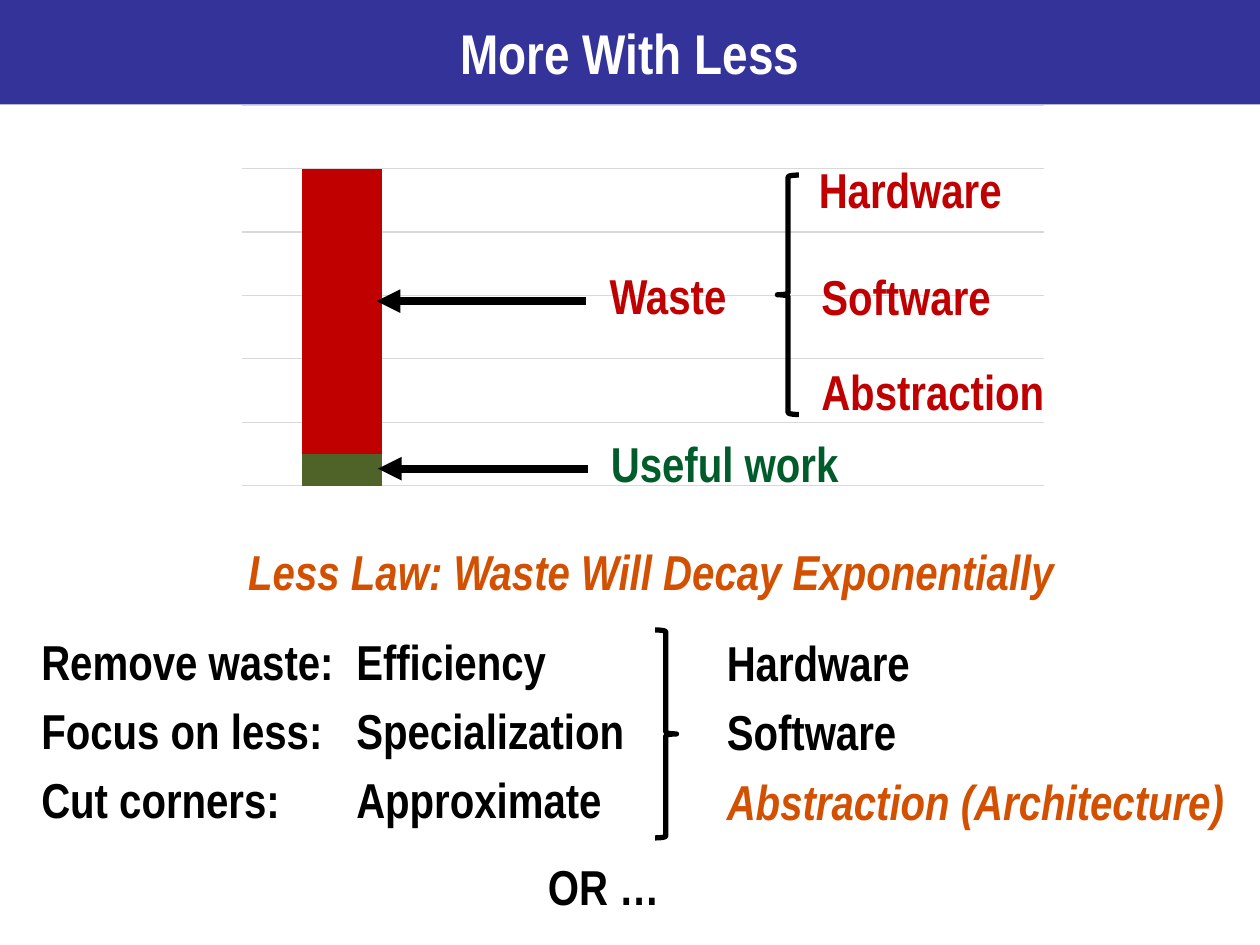
from dataclasses import dataclass

from lxml import etree
from pptx import Presentation
from pptx.chart.data import CategoryChartData
from pptx.dml.color import RGBColor
from pptx.enum.chart import XL_CHART_TYPE as ChartType
from pptx.enum.shapes import MSO_CONNECTOR as Connector, MSO_SHAPE as Shape
from pptx.enum.text import MSO_ANCHOR as Anchor, PP_ALIGN as Align
from pptx.oxml import parse_xml
from pptx.oxml.ns import nsdecls, qn
from pptx.util import Inches, Pt

FONT = "Arial Narrow"
BLACK, WHITE, NAVY = "000000", "FFFFFF", "333399"
RED, GREEN, OLIVE, ORANGE = "C00000", "005C2A", "4F6228", "D25000"
TEXT_HEIGHT = 0.57


@dataclass
class Line:
    text: str
    color: str = BLACK
    italic: bool = False
    size: int = 28


@dataclass
class Label:
    left: float
    top: float
    width: float
    lines: list[Line]
    height: float = TEXT_HEIGHT
    align: Align = Align.LEFT
    wrap: bool = False
    space_before: int = 0
    tab: float = 0


@dataclass
class Arrow:
    start: float
    end: float
    y: float


@dataclass
class Brace:
    left: float
    top: float
    height: float
    flipped: bool = False


def rgb(color: str) -> RGBColor:
    return RGBColor.from_string(color)


def add_line(paragraph, line: Line) -> None:
    run = paragraph.add_run()
    run.text = line.text
    font = run.font
    font.name, font.size = FONT, Pt(line.size)
    font.bold, font.italic = True, line.italic
    font.color.rgb = rgb(line.color)


def set_tab(paragraph, position: float) -> None:
    """Add a left tab stop, measured in inches from the text edge."""
    tabs = etree.SubElement(paragraph._p.get_or_add_pPr(), qn("a:tabLst"))
    etree.SubElement(tabs, qn("a:tab"), pos=str(Inches(position)), algn="l")


def draw_label(slide, label: Label) -> None:
    box = slide.shapes.add_textbox(Inches(label.left), Inches(label.top),
                                   Inches(label.width), Inches(label.height))
    frame = box.text_frame
    frame.word_wrap = label.wrap
    for index, line in enumerate(label.lines):
        paragraph = frame.add_paragraph() if index else frame.paragraphs[0]
        paragraph.alignment = label.align
        paragraph.space_before = Pt(label.space_before)
        if label.tab:
            set_tab(paragraph, label.tab)
        add_line(paragraph, line)


def draw_title(slide, title: str) -> None:
    banner = slide.shapes.add_shape(Shape.RECTANGLE, 0, 0, Inches(10), Inches(0.83))
    banner.shadow.inherit = False
    banner.fill.solid()
    banner.fill.fore_color.rgb = rgb(NAVY)
    banner.line.fill.background()
    banner.text_frame.vertical_anchor = Anchor.MIDDLE
    paragraph = banner.text_frame.paragraphs[0]
    paragraph.alignment = Align.CENTER
    add_line(paragraph, Line(title, WHITE, size=32))


def draw_arrow(slide, arrow: Arrow) -> None:
    y = Inches(arrow.y)
    connector = slide.shapes.add_connector(
        Connector.STRAIGHT, Inches(arrow.start), y, Inches(arrow.end), y)
    connector.line.color.rgb = rgb(BLACK)
    connector.line.width = Pt(4.5)
    etree.SubElement(connector.line._get_or_add_ln(), qn("a:tailEnd"), type="triangle")
    etree.SubElement(connector._element.spPr, qn("a:effectLst"))


def draw_brace(slide, brace: Brace) -> None:
    shape = slide.shapes.add_shape(Shape.LEFT_BRACE, Inches(brace.left), Inches(brace.top),
                                   Inches(0.17), Inches(brace.height))
    shape.shadow.inherit = False
    shape.fill.background()
    shape.line.color.rgb = rgb(BLACK)
    shape.line.width = Pt(3)
    if brace.flipped:
        shape._element.spPr.xfrm.set("flipH", "1")


def set_plot_area(chart, x: float, y: float, w: float, h: float) -> None:
    """Place the inner plot area, in fractions of the chart."""
    area = chart._chartSpace.chart.plotArea
    for layout in area.findall(qn("c:layout")):
        area.remove(layout)
    sizes = "".join(f'<c:{tag} val="{value}"/>'
                    for tag, value in (("x", x), ("y", y), ("w", w), ("h", h)))
    area.insert(0, parse_xml(
        f'<c:layout {nsdecls("c")}><c:manualLayout><c:layoutTarget val="inner"/>'
        f'<c:xMode val="edge"/><c:yMode val="edge"/>{sizes}</c:manualLayout></c:layout>'))


def draw_chart(slide) -> None:
    useful, waste = 11, 100
    total = useful + waste
    series = [("Series 1", useful, OLIVE), ("Series 2", waste, RED),
              ("Series 3", None, "9BBB59")]
    data = CategoryChartData()
    data.categories = ["1", "", "", ""]
    for name, value, _ in series:
        data.add_series(name, [value, None, None, None])
    chart = slide.shapes.add_chart(ChartType.COLUMN_STACKED, Inches(1.75), Inches(0.83),
                                   Inches(6.67), Inches(3.31), data).chart
    chart.has_legend = chart.has_title = False
    chart.font.name, chart.font.size = "Calibri", Pt(10)
    chart.font.color.rgb = rgb(BLACK)
    plot = chart.plots[0]
    plot.gap_width, plot.overlap, plot.vary_by_categories = 150, 100, False
    for bars, (_, _, color) in zip(plot.series, series):
        bars.format.fill.solid()
        bars.format.fill.fore_color.rgb = rgb(color)
    chart.category_axis.visible = False
    axis = chart.value_axis
    axis.visible = False
    # The full bar spans five of the six grid steps.
    axis.minimum_scale, axis.maximum_scale = 0, total * 6 / 5
    axis.major_unit = total / 5
    axis.has_major_gridlines = True
    grid = axis.major_gridlines.format.line
    grid.color.rgb, grid.width = rgb("D9D9D9"), Pt(0.75)
    set_plot_area(chart, 0.025, 0, 0.955, 0.914)


REMEDIES = [Line("Remove waste:\tEfficiency"), Line("Focus on less:\tSpecialization"),
            Line("Cut corners:\tApproximate")]
LAYERS = [Line("Hardware"), Line("Software"), Line("Abstraction (Architecture)", ORANGE, True)]
LABELS = [
    Label(4.75, 3.39, 2.03, [Line("Useful work", GREEN)]),
    Label(4.74, 2.06, 1.14, [Line("Waste", RED)]),
    Label(6.4, 1.22, 1.67, [Line("Hardware", RED)]),
    Label(6.42, 2.07, 1.56, [Line("Software", RED)]),
    Label(6.42, 2.82, 1.99, [Line("Abstraction", RED)]),
    Label(0.23, 4.96, 5, REMEDIES, height=1.68, wrap=True, space_before=6, tab=2.5),
    Label(0.58, 4.25, 9.17, [Line("Less Law: Waste Will Decay Exponentially", ORANGE, True)],
          align=Align.CENTER, wrap=True),
    Label(5.67, 4.97, 4.18, LAYERS, height=1.68, space_before=6),
    Label(3.33, 6.75, 2.92, [Line("OR …")], align=Align.CENTER, wrap=True),
]
ARROWS = [Arrow(4.67, 3, 3.72), Arrow(4.65, 2.99, 2.39)]
BRACES = [Brace(6.17, 1.39, 1.9), Brace(5.2, 5, 1.65, flipped=True)]


def main() -> None:
    deck = Presentation()
    deck.slide_width, deck.slide_height = Inches(10), Inches(7.5)
    slide = deck.slides.add_slide(deck.slide_layouts[6])
    draw_title(slide, "More With Less")
    draw_chart(slide)
    for arrow in ARROWS:
        draw_arrow(slide, arrow)
    for label in LABELS:
        draw_label(slide, label)
    for brace in BRACES:
        draw_brace(slide, brace)
    deck.save("out.pptx")


if __name__ == "__main__":
    main()
